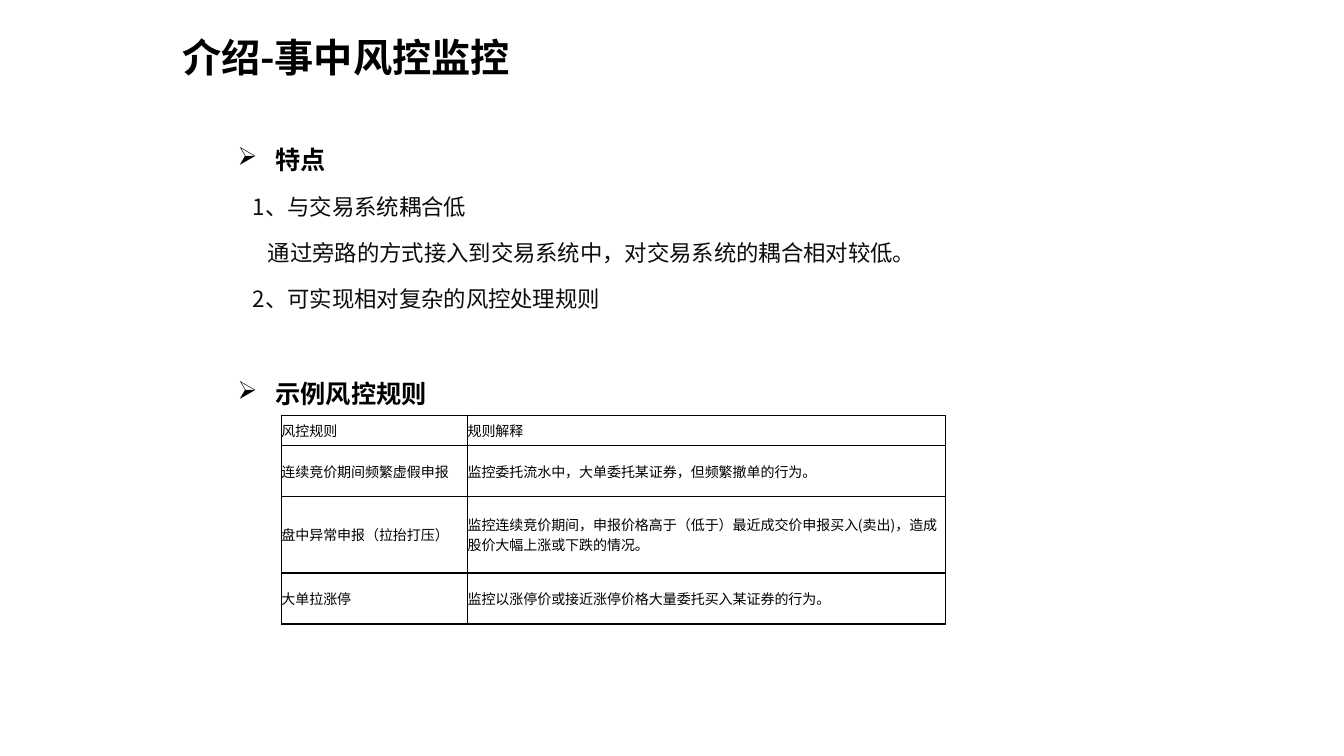
from pptx import Presentation
from pptx.dml.color import RGBColor as RGB
from pptx.enum.text import MSO_ANCHOR as Anchor, MSO_AUTO_SIZE as Auto
from pptx.oxml import parse_xml
from pptx.oxml.ns import nsdecls
from pptx.util import Pt

SANS = "Noto Sans CJK SC"
NS = nsdecls("a")


def style(par, size, color, bold=False, face=SANS):
    font = par.font
    font.name, font.size, font.bold = face, Pt(size), bold
    font.color.rgb = RGB.from_string(color)
    east = parse_xml(f'<a:ea {NS} typeface="{SANS}"/>')
    font._element.find("{*}latin").addnext(east)


deck = Presentation()
deck.slide_width, deck.slide_height = Pt(960), Pt(540)
slide = deck.slides.add_slide(deck.slide_layouts[6])

# Title
title = slide.shapes.add_textbox(Pt(123), Pt(20), Pt(626), Pt(43)).text_frame
title.word_wrap = True
title.auto_size = Auto.SHAPE_TO_FIT_TEXT
title.text = "介绍-事中风控监控"
style(title.paragraphs[0], 28, "000000", True)

# Headings and points: text, left indent (None for a heading), space before
lines = [
    ("特点", None, 3.9),
    ("1、与交易系统耦合低", 10.8, 3.9),
    ("通过旁路的方式接入到交易系统中，对交易系统的耦合相对较低。", 21.6, 3.9),
    ("2、可实现相对复杂的风控处理规则", 10.8, 3.9),
    ("示例风控规则", None, 37),
]
body = slide.shapes.add_textbox(Pt(162.7), Pt(88.6), Pt(623.5), Pt(351)).text_frame
body.word_wrap = True
for i, (text, left, gap) in enumerate(lines):
    par = body.add_paragraph() if i else body.paragraphs[0]
    par.text = text
    par.line_spacing, par.space_before = 1.5, Pt(gap)
    props = par._p.get_or_add_pPr()
    if left is None:
        style(par, 18, "000000", True, "Calibri")
        props.set("marL", str(Pt(27)))
        props.set("indent", str(Pt(-27)))
        mark = parse_xml(f'<a:buChar {NS} char="➢"/>')
        props.find("{*}defRPr").addprevious(mark)
    else:
        style(par, 16, "0C0C0C")
        props.set("marL", str(Pt(left)))
        props.set("indent", "0")

# Table of sample rules
rules = [
    ("风控规则", "规则解释"),
    ("连续竞价期间频繁虚假申报", "监控委托流水中，大单委托某证券，但频繁撤单的行为。"),
    ("盘中异常申报（拉抬打压）",
     "监控连续竞价期间，申报价格高于（低于）最近成交价申报买入(卖出)，造成股价大幅上涨或下跌的情况。"),
    ("大单拉涨停", "监控以涨停价或接近涨停价格大量委托买入某证券的行为。"),
]
wide, high = [133, 341.5], [21.5, 36.5, 54.5, 36.5]
table = slide.shapes.add_table(
    len(high), len(wide), Pt(201), Pt(296.8), Pt(sum(wide)), Pt(sum(high))).table
for col, size in zip(table.columns, wide):
    col.width = Pt(size)
for row, size, texts in zip(table.rows, high, rules):
    row.height = Pt(size)
    for cell, text in zip(row.cells, texts):
        cell.text = text
        style(cell.text_frame.paragraphs[0], 10, "000000")
        cell.vertical_anchor = Anchor.MIDDLE
        cell.margin_left = cell.margin_right = cell.margin_top = cell.margin_bottom = 0
        cell.fill.solid()
        cell.fill.fore_color.rgb = RGB.from_string("FFFFFF")
        # Borders come before the fill
        for n, side in enumerate("LRTB"):
            edge = parse_xml(
                f'<a:ln{side} {NS} w="{Pt(1)}"><a:solidFill><a:srgbClr val="000000"/>'
                f'</a:solidFill></a:ln{side}>')
            cell._tc.tcPr.insert(n, edge)

deck.save("out.pptx")
